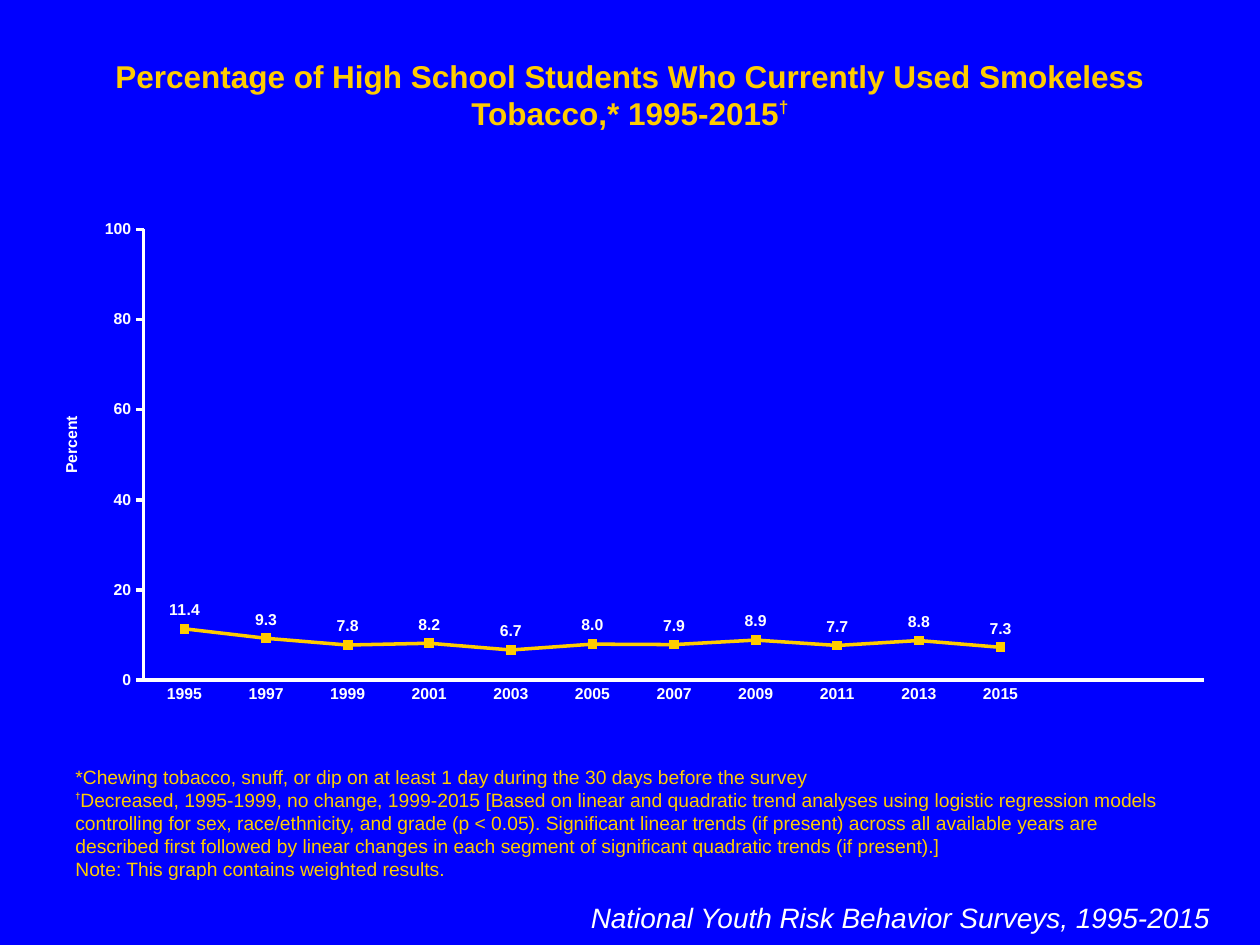
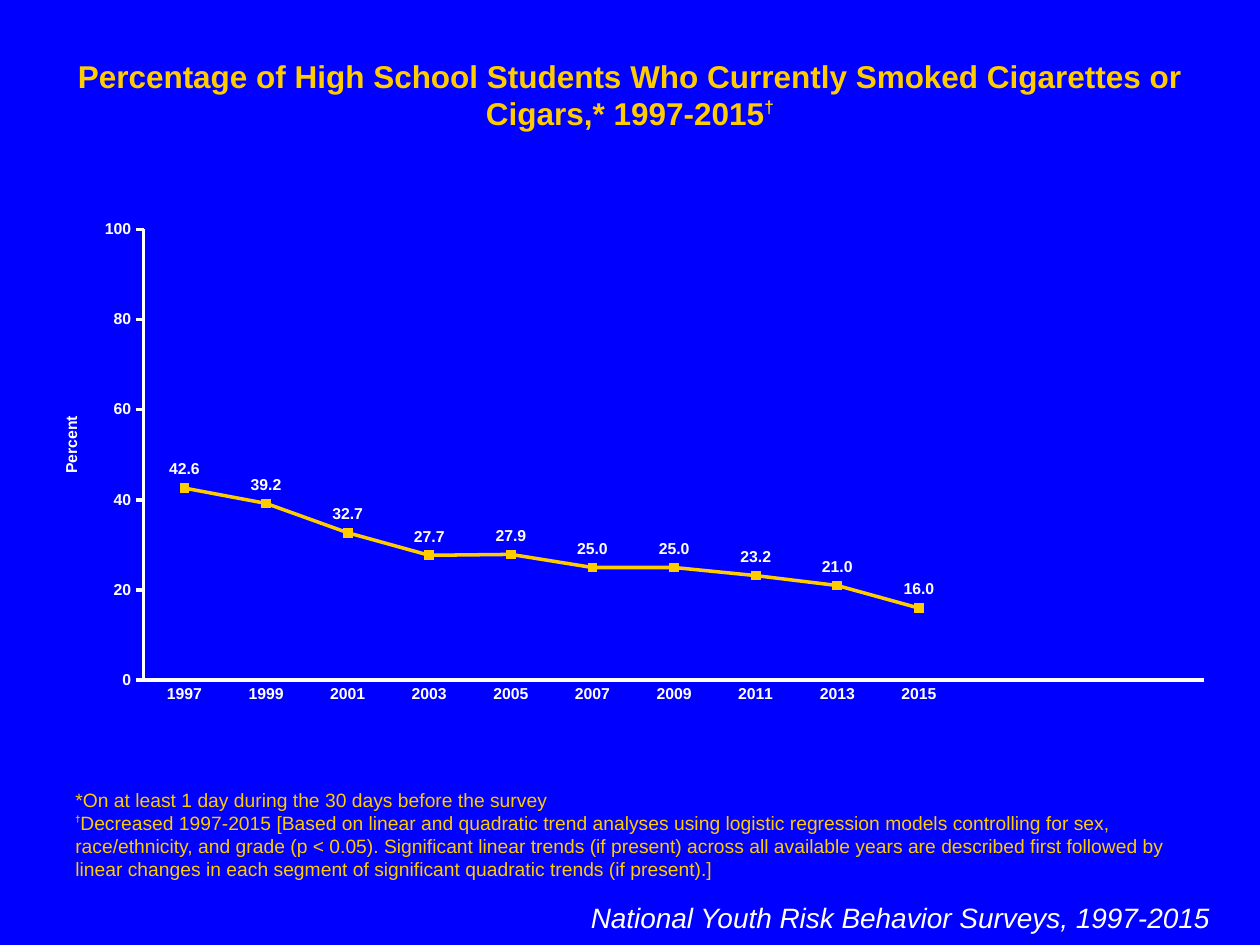
from lxml import etree
from pptx import Presentation
from pptx.chart.data import CategoryChartData
from pptx.dml.color import RGBColor
from pptx.enum import chart as ch, text as tx
from pptx.oxml.ns import qn
from pptx.util import Inches, Pt

BLUE, GOLD, WHITE = "0000FF", "FFCC00", "FFFFFF"
FONT = "Arial"
CATEGORY_SLOTS = 13
CHART_BOX = (0.25, 1.67, 9.5, 4)
PLOT_BOX = (1.14, 1.82, 8.42, 3.58)
AXIS_TITLE_AT = (0.46, 3.28)

TREND_METHOD = (
    " [Based on linear and quadratic trend analyses using logistic regression models "
    "controlling for sex, race/ethnicity, and grade (p < 0.05). Significant linear trends "
    "(if present) across all available years are described first followed by linear changes "
    "in each segment of significant quadratic trends (if present).]"
)

SURVEYS = [
    {
        "title": "Percentage of High School Students Who Currently Used Smokeless Tobacco,*",
        "first_year": 1995,
        "values": [11.4, 9.3, 7.8, 8.2, 6.7, 8.0, 7.9, 8.9, 7.7, 8.8, 7.3],
        "definition": "*Chewing tobacco, snuff, or dip on at least 1 day during the 30 days before the survey",
        "trend": "Decreased, 1995-1999, no change, 1999-2015",
        "note": "Note: This graph contains weighted results.",
    },
    {
        "title": "Percentage of High School Students Who Currently Smoked Cigarettes or Cigars,*",
        "first_year": 1997,
        "values": [42.6, 39.2, 32.7, 27.7, 27.9, 25.0, 25.0, 23.2, 21.0, 16.0],
        "definition": "*On at least 1 day during the 30 days before the survey",
        "trend": "Decreased 1997-2015",
        "note": None,
    },
]


def rgb(color):
    return RGBColor.from_string(color)


def style_font(font, size, color, bold=False, italic=False):
    font.name = FONT
    font.size = Pt(size)
    font.bold = bold
    font.italic = italic
    font.color.rgb = rgb(color)


def add_run(p, text, size, color, bold=False, italic=False, raised=0):
    r = p.add_run()
    r.text = text
    style_font(r.font, size, color, bold, italic)
    if raised:
        r._r.get_or_add_rPr().set("baseline", str(raised * 1000))


def add_text_box(slide, box, anchor=tx.MSO_ANCHOR.TOP):
    tf = slide.shapes.add_textbox(*map(Inches, box)).text_frame
    tf.word_wrap = True
    tf.auto_size = tx.MSO_AUTO_SIZE.SHAPE_TO_FIT_TEXT
    tf.vertical_anchor = anchor
    return tf


def add_title(slide, title):
    p = add_text_box(slide, (0.5, 0.4, 9, 0.4)).paragraphs[0]
    p.alignment = tx.PP_ALIGN.CENTER
    add_run(p, title, 18, GOLD, bold=True)
    add_run(p, "†", 17, GOLD, bold=True, raised=40)


def add_footnotes(slide, survey):
    tf = add_text_box(slide, (0.5, 6.75, 9, 0.29), tx.MSO_ANCHOR.BOTTOM)
    add_run(tf.paragraphs[0], survey["definition"], 11, GOLD)
    p = tf.add_paragraph()
    add_run(p, "†", 9, GOLD, bold=True, raised=50)
    add_run(p, survey["trend"] + TREND_METHOD, 11, GOLD)
    if survey["note"]:
        add_run(tf.add_paragraph(), survey["note"], 11, GOLD)


def add_source(slide, years):
    p = add_text_box(slide, (4.53, 7.1, 5.17, 0.37)).paragraphs[0]
    p.alignment = tx.PP_ALIGN.RIGHT
    add_run(p, f"National Youth Risk Behavior Surveys, {years}", 16, WHITE, italic=True)


def set_layout(parent, index, box, inner=False):
    for old in parent.findall(qn("c:layout")):
        parent.remove(old)
    layout = etree.Element(qn("c:layout"))
    parent.insert(index, layout)
    manual = etree.SubElement(layout, qn("c:manualLayout"))
    left, top, width, height = CHART_BOX
    settings = [("layoutTarget", "inner")] if inner else []
    settings += [("xMode", "edge"), ("yMode", "edge")]
    shares = [(box[0] - left) / width, (box[1] - top) / height]
    shares += [length / whole for length, whole in zip(box[2:], (width, height))]
    settings += zip("xywh", shares)
    for name, value in settings:
        etree.SubElement(manual, qn(f"c:{name}")).set("val", str(value))


def style_axis(axis, tick):
    axis.has_major_gridlines = False
    axis.major_tick_mark = tick
    axis.minor_tick_mark = ch.XL_TICK_MARK.NONE
    style_font(axis.tick_labels.font, 9, WHITE, bold=True)
    axis.format.line.color.rgb = rgb(WHITE)
    axis.format.line.width = Pt(2)


def style_percent_axis(axis):
    style_axis(axis, ch.XL_TICK_MARK.OUTSIDE)
    axis.minimum_scale, axis.maximum_scale, axis.major_unit = 0, 100, 20
    axis.tick_labels.number_format = "#,##0"
    axis.tick_labels.number_format_is_linked = False
    title = axis.axis_title
    tf = title.text_frame
    add_run(tf.paragraphs[0], "Percent", 9, WHITE, bold=True)
    body = tf._txBody.find(qn("a:bodyPr"))
    body.set("rot", "-5400000")
    body.set("vert", "horz")
    set_layout(title._element, 1, AXIS_TITLE_AT)


def style_series(series):
    series.smooth = False
    series.format.line.color.rgb = rgb(GOLD)
    series.format.line.width = Pt(2)
    marker = series.marker
    marker.style = ch.XL_MARKER_STYLE.SQUARE
    marker.size = 5
    marker.format.fill.solid()
    marker.format.fill.fore_color.rgb = rgb(GOLD)
    marker.format.line.color.rgb = rgb(GOLD)
    labels = series.data_labels
    labels.show_value = True
    labels.position = ch.XL_LABEL_POSITION.ABOVE
    labels.number_format = "#,##0.0"
    labels.number_format_is_linked = False
    style_font(labels.font, 9, WHITE, bold=True)


def add_trend_chart(slide, first_year, values):
    spare = CATEGORY_SLOTS - len(values)
    data = CategoryChartData()
    data.categories = [str(first_year + 2 * i) for i in range(len(values))] + [""] * spare
    data.add_series("Series 1", values + [None] * spare)
    chart = slide.shapes.add_chart(
        ch.XL_CHART_TYPE.LINE_MARKERS, *map(Inches, CHART_BOX), data
    ).chart
    chart.has_legend = False
    chart.has_title = False
    style_font(chart.font, 18, WHITE)
    plot = chart.plots[0]
    plot.vary_by_categories = False
    style_series(plot.series[0])
    style_axis(chart.category_axis, ch.XL_TICK_MARK.NONE)
    style_percent_axis(chart.value_axis)
    set_layout(chart._chartSpace.chart.plotArea, 0, PLOT_BOX, inner=True)


def add_survey_slide(prs, survey):
    slide = prs.slides.add_slide(prs.slide_layouts[6])
    slide.background.fill.solid()
    slide.background.fill.fore_color.rgb = rgb(BLUE)
    years = f"{survey['first_year']}-2015"
    add_title(slide, f"{survey['title']} {years}")
    add_footnotes(slide, survey)
    add_source(slide, years)
    add_trend_chart(slide, survey["first_year"], survey["values"])


def main():
    prs = Presentation()
    prs.slide_width, prs.slide_height = Inches(10), Inches(7.5)
    for survey in SURVEYS:
        add_survey_slide(prs, survey)
    prs.save("out.pptx")


if __name__ == "__main__":
    main()
